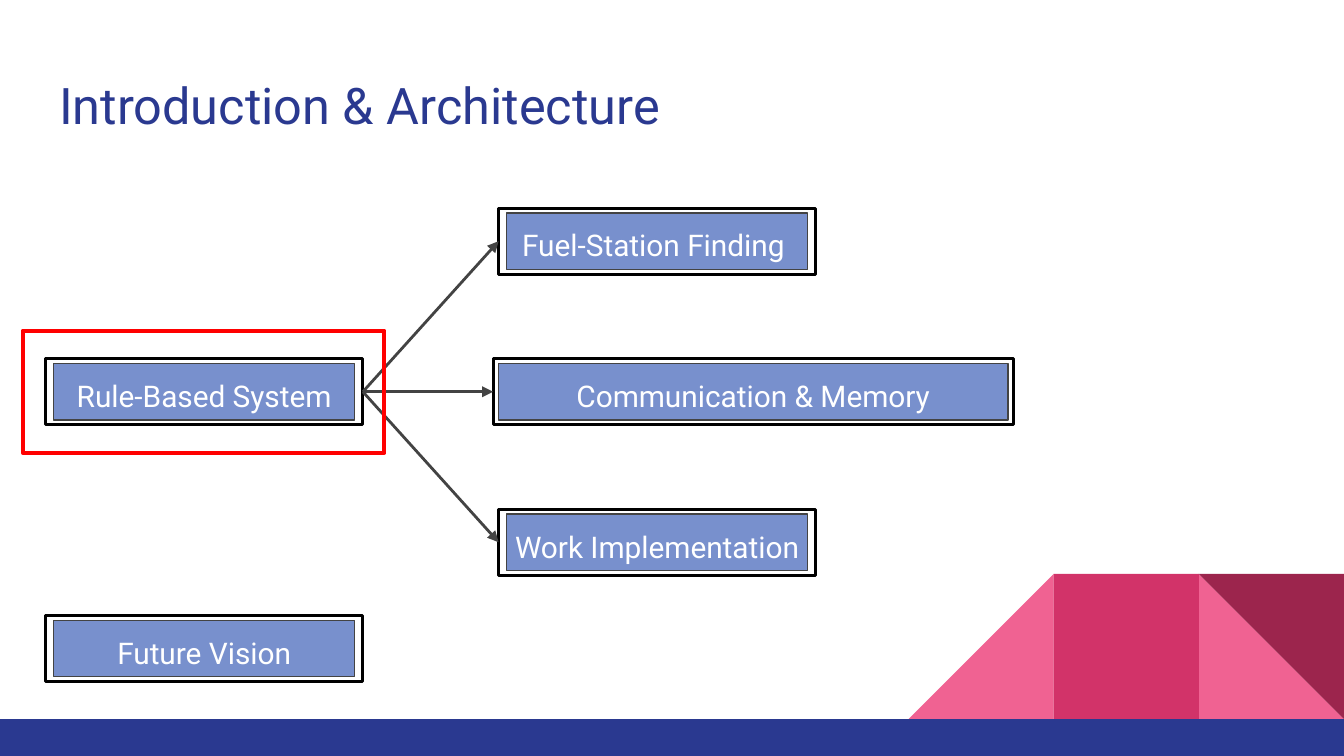
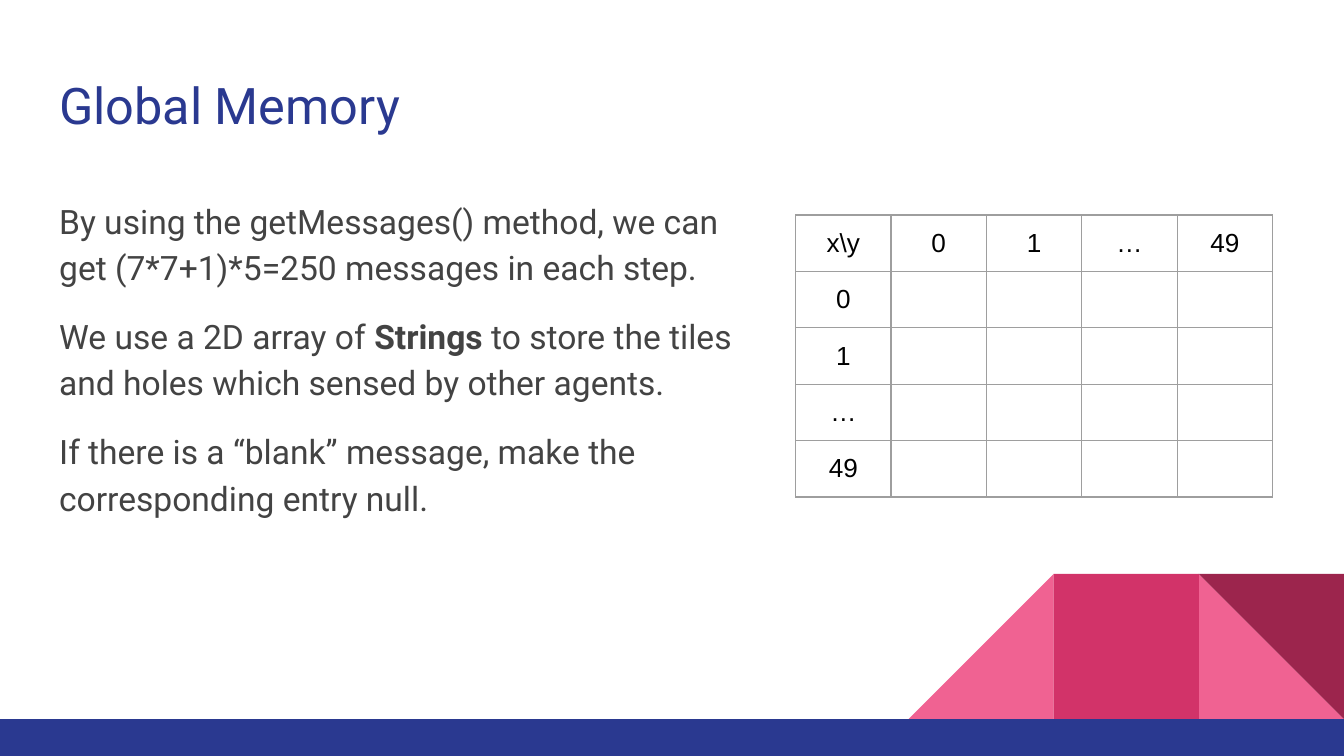
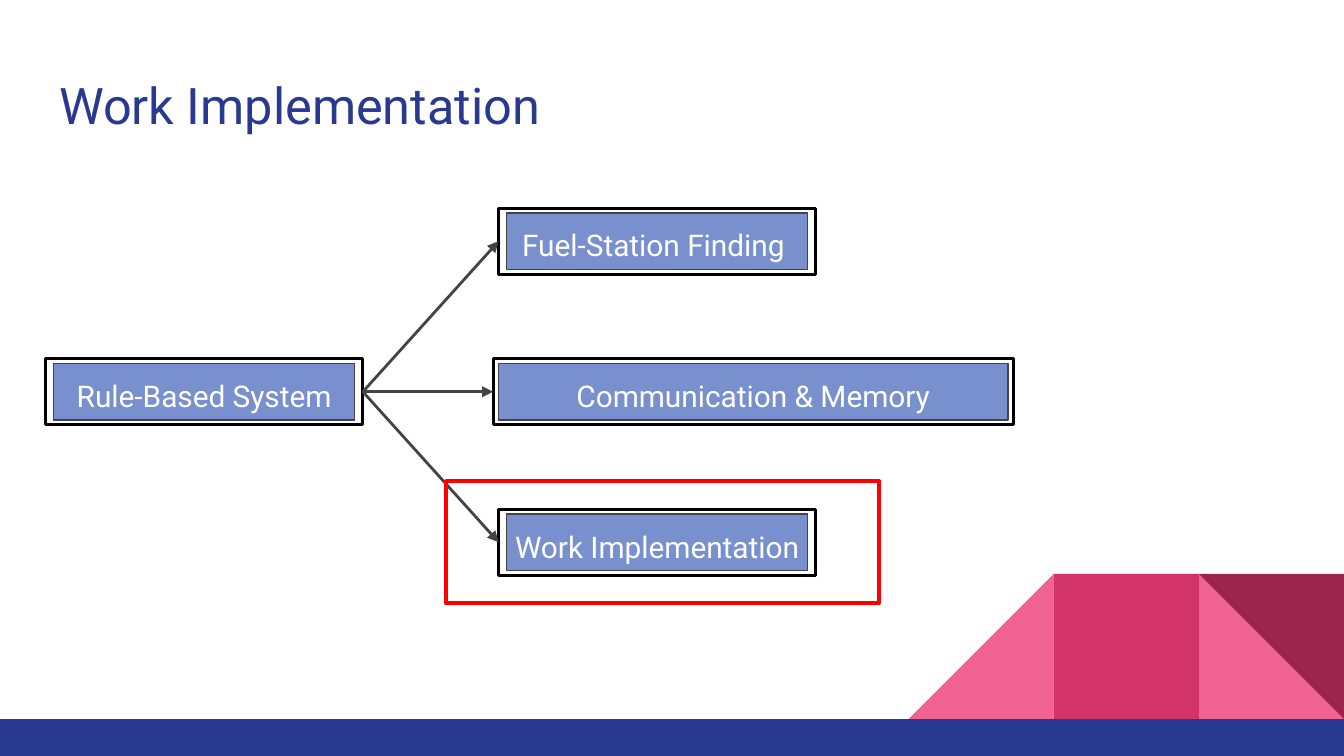
from dataclasses import dataclass

from lxml import etree
from pptx import Presentation
from pptx.dml.color import RGBColor
from pptx.enum.shapes import MSO_CONNECTOR, MSO_SHAPE
from pptx.enum.text import MSO_ANCHOR, MSO_AUTO_SIZE, PP_ALIGN
from pptx.oxml.ns import qn
from pptx.util import Inches, Pt

RECTANGLE = MSO_SHAPE.RECTANGLE
TRIANGLE = MSO_SHAPE.RIGHT_TRIANGLE
STRAIGHT = MSO_CONNECTOR.STRAIGHT
LEFT, CENTER = PP_ALIGN.LEFT, PP_ALIGN.CENTER
TOP = MSO_ANCHOR.TOP
RIGHT_SITE, LEFT_SITE = 3, 1
TITLE_AND_BODY, TITLE_ONLY = 1, 5


@dataclass(frozen=True)
class Theme:
    navy: str = "2A3990"
    pink: str = "F06292"
    rose: str = "D23369"
    wine: str = "9C254D"
    module: str = "7890CD"
    ink: str = "434343"
    black: str = "000000"
    white: str = "FFFFFF"
    alert: str = "FF0000"
    grid: str = "9E9E9E"
    font: str = "Roboto"
    table_font: str = "Arial"
    title_size: int = 27
    body_size: int = 18
    module_size: int = 16
    table_size: int = 14
    line_spacing: float = 1.15
    paragraph_gap: int = 12


THEME = Theme()

SLIDE_WIDTH, SLIDE_HEIGHT = 10, 5.625
TITLE_AREA = (0.34, 0.45, 9.32, 0.66)
BODY_AREA = (0.34, 1.35, 5.23, 3.65)
FOOTER_TOP = 5.35
TILE = 1.08
TILES = [
    (TRIANGLE, 1, 0, THEME.pink),
    (TRIANGLE, 3, 270, THEME.pink),
    (RECTANGLE, 2, 0, THEME.rose),
    (TRIANGLE, 1, 180, THEME.wine),
]

MODULE_TOP, MODULE_STEP, MODULE_HEIGHT = 1.55, 1.12, 0.49
ROOT = "Rule-Based System"
BRANCHES = ["Communication & Memory", "Fuel-Station Finding ", "Work Implementation"]
FUTURE = "Future Vision"
MODULES = {
    ROOT: (0.34, MODULE_TOP + MODULE_STEP, 2.36, 0.06),
    "Fuel-Station Finding ": (3.71, MODULE_TOP, 2.36, 0.06),
    "Communication & Memory": (3.67, MODULE_TOP + MODULE_STEP, 3.87, 0.04),
    "Work Implementation": (3.71, MODULE_TOP + 2 * MODULE_STEP, 2.36, 0.06),
    FUTURE: (0.34, 4.58, 2.36, 0.06),
}
FILL_INSET = 0.035
HIGHLIGHT_MARGIN = 0.21

ARCHITECTURE = {
    "title": "Introduction & Architecture",
    "modules": [ROOT, *BRANCHES, FUTURE],
    "highlight": (ROOT, 0.17, 2.69),
}
IMPLEMENTATION = {
    "title": "Work Implementation",
    "modules": [ROOT, *BRANCHES],
    "highlight": ("Work Implementation", 3.32, 3.22),
}

MEMORY_TITLE = "Global Memory"
MEMORY_NOTES = [
    [("By using the getMessages() method, we can get (7*7+1)*5=250 messages in each step.", False)],
    [
        ("We use a 2D array of ", False),
        ("Strings", True),
        (" to store the tiles and holes which sensed by other agents.", False),
    ],
    [("If there is a “blank” message, make the corresponding entry null.", False)],
]
MEMORY_INDEXES = ["0", "1", "…", "49"]
MEMORY_GRID = [["x\\y", *MEMORY_INDEXES]] + [[index, "", "", "", ""] for index in MEMORY_INDEXES]
GRID_LEFT, GRID_TOP, CELL_WIDTH, CELL_HEIGHT = 5.92, 1.6, 0.71, 0.42


def color(code):
    return RGBColor.from_string(code)


def place(placeholder, area):
    placeholder.left, placeholder.top, placeholder.width, placeholder.height = map(Inches, area)


def set_margins(target):
    target.margin_left = target.margin_right = Inches(0.1)
    target.margin_top = target.margin_bottom = Inches(0.1)
    target.vertical_anchor = TOP


def style_runs(paragraph, size, code, font=THEME.font):
    for run in paragraph.runs:
        run.font.size = Pt(size)
        run.font.name = font
        run.font.color.rgb = color(code)


def draw(shapes, kind, area, fill=None, line=None, weight=0):
    shape = shapes.add_shape(kind, *map(Inches, area))
    shape.shadow.inherit = False
    if fill:
        shape.fill.solid()
        shape.fill.fore_color.rgb = color(fill)
    else:
        shape.fill.background()
    if line:
        shape.line.color.rgb = color(line)
        shape.line.width = Pt(weight)
    else:
        shape.line.fill.background()
    return shape


def decorate_master(presentation, slide):
    band = slide.shapes.add_group_shape()
    for kind, tiles_from_right, rotation, fill in TILES:
        left = SLIDE_WIDTH - tiles_from_right * TILE
        tile = draw(band.shapes, kind, (left, FOOTER_TOP - TILE, TILE, TILE), fill)
        tile.rotation = rotation
    draw(band.shapes, RECTANGLE, (0, FOOTER_TOP, SLIDE_WIDTH, SLIDE_HEIGHT - FOOTER_TOP), THEME.navy)
    for number, properties in enumerate(band.element.iter("{*}cNvPr"), 20):
        properties.set("id", str(number))
    presentation.slide_master.shapes.element.insert(2, band.element)


def add_slide(presentation, layout, heading):
    slide = presentation.slides.add_slide(presentation.slide_layouts[layout])
    title = slide.shapes.title
    place(title, TITLE_AREA)
    title.text_frame.text = heading
    title.text_frame.auto_size = MSO_AUTO_SIZE.NONE
    set_margins(title.text_frame)
    title.text_frame.paragraphs[0].alignment = LEFT
    style_runs(title.text_frame.paragraphs[0], THEME.title_size, THEME.navy)
    return slide


def add_module(slide, label):
    left, top, width, side = MODULES[label]
    fill_area = (left + side, top + FILL_INSET, width - 2 * side, MODULE_HEIGHT - 2 * FILL_INSET)
    draw(slide.shapes, RECTANGLE, fill_area, THEME.module, THEME.ink, 0.75)
    frame = draw(slide.shapes, RECTANGLE, (left, top, width, MODULE_HEIGHT), None, THEME.black, 1.5)
    frame.text_frame.text = label
    frame.text_frame.word_wrap = True
    set_margins(frame.text_frame)
    caption = frame.text_frame.paragraphs[0]
    caption.alignment = CENTER
    caption.line_spacing = THEME.line_spacing
    caption.space_after = Pt(THEME.paragraph_gap)
    style_runs(caption, THEME.module_size, THEME.white)
    return frame


def add_arrow(slide, source, target):
    arrow = slide.shapes.add_connector(STRAIGHT, 0, 0, 0, 0)
    arrow.begin_connect(source, RIGHT_SITE)
    arrow.end_connect(target, LEFT_SITE)
    arrow.line.color.rgb = color(THEME.ink)
    arrow.line.width = Pt(1.5)
    outline = arrow.element.spPr.find(qn("a:ln"))
    etree.SubElement(outline, qn("a:tailEnd"), type="triangle")
    etree.SubElement(arrow.element.spPr, qn("a:effectLst"))


def fill_diagram(slide, diagram):
    frames = {label: add_module(slide, label) for label in diagram["modules"]}
    for branch in BRANCHES:
        add_arrow(slide, frames[ROOT], frames[branch])
    label, left, width = diagram["highlight"]
    top = MODULES[label][1] - HIGHLIGHT_MARGIN
    height = MODULE_HEIGHT + 2 * HIGHLIGHT_MARGIN
    draw(slide.shapes, RECTANGLE, (left, top, width, height), None, THEME.alert, 2.25)


def fill_notes(slide):
    notes = slide.placeholders[1]
    place(notes, BODY_AREA)
    text = notes.text_frame
    text.auto_size = MSO_AUTO_SIZE.NONE
    set_margins(text)
    for position, pieces in enumerate(MEMORY_NOTES):
        paragraph = text.add_paragraph() if position else text.paragraphs[0]
        properties = paragraph._p.get_or_add_pPr()
        properties.set("marL", "0")
        properties.set("indent", "0")
        etree.SubElement(properties, qn("a:buNone"))
        paragraph.line_spacing = THEME.line_spacing
        paragraph.space_before = Pt(THEME.paragraph_gap if position else 0)
        for words, bold in pieces:
            run = paragraph.add_run()
            run.text = words
            run.font.bold = bold
        style_runs(paragraph, THEME.body_size, THEME.ink)


def add_borders(cell):
    properties = cell._tc.get_or_add_tcPr()
    for position, side in enumerate(("a:lnL", "a:lnR", "a:lnT", "a:lnB")):
        border = etree.Element(qn(side), w=str(Pt(0.75)))
        paint = etree.SubElement(border, qn("a:solidFill"))
        etree.SubElement(paint, qn("a:srgbClr"), val=THEME.grid)
        properties.insert(position, border)


def fill_grid(slide):
    rows, columns = len(MEMORY_GRID), len(MEMORY_GRID[0])
    area = (GRID_LEFT, GRID_TOP, columns * CELL_WIDTH, rows * CELL_HEIGHT)
    grid = slide.shapes.add_table(rows, columns, *map(Inches, area)).table
    grid.first_row = grid.horz_banding = False
    for row, labels in enumerate(MEMORY_GRID):
        for column, label in enumerate(labels):
            cell = grid.cell(row, column)
            cell.fill.background()
            add_borders(cell)
            if label:
                cell.text_frame.text = label
                set_margins(cell)
                entry = cell.text_frame.paragraphs[0]
                entry.alignment = CENTER
                style_runs(entry, THEME.table_size, THEME.black, THEME.table_font)


def main():
    presentation = Presentation()
    presentation.slide_width = Inches(SLIDE_WIDTH)
    presentation.slide_height = Inches(SLIDE_HEIGHT)

    architecture = add_slide(presentation, TITLE_ONLY, ARCHITECTURE["title"])
    decorate_master(presentation, architecture)
    fill_diagram(architecture, ARCHITECTURE)

    memory = add_slide(presentation, TITLE_AND_BODY, MEMORY_TITLE)
    fill_notes(memory)
    fill_grid(memory)

    implementation = add_slide(presentation, TITLE_ONLY, IMPLEMENTATION["title"])
    fill_diagram(implementation, IMPLEMENTATION)

    presentation.save("out.pptx")


if __name__ == "__main__":
    main()
